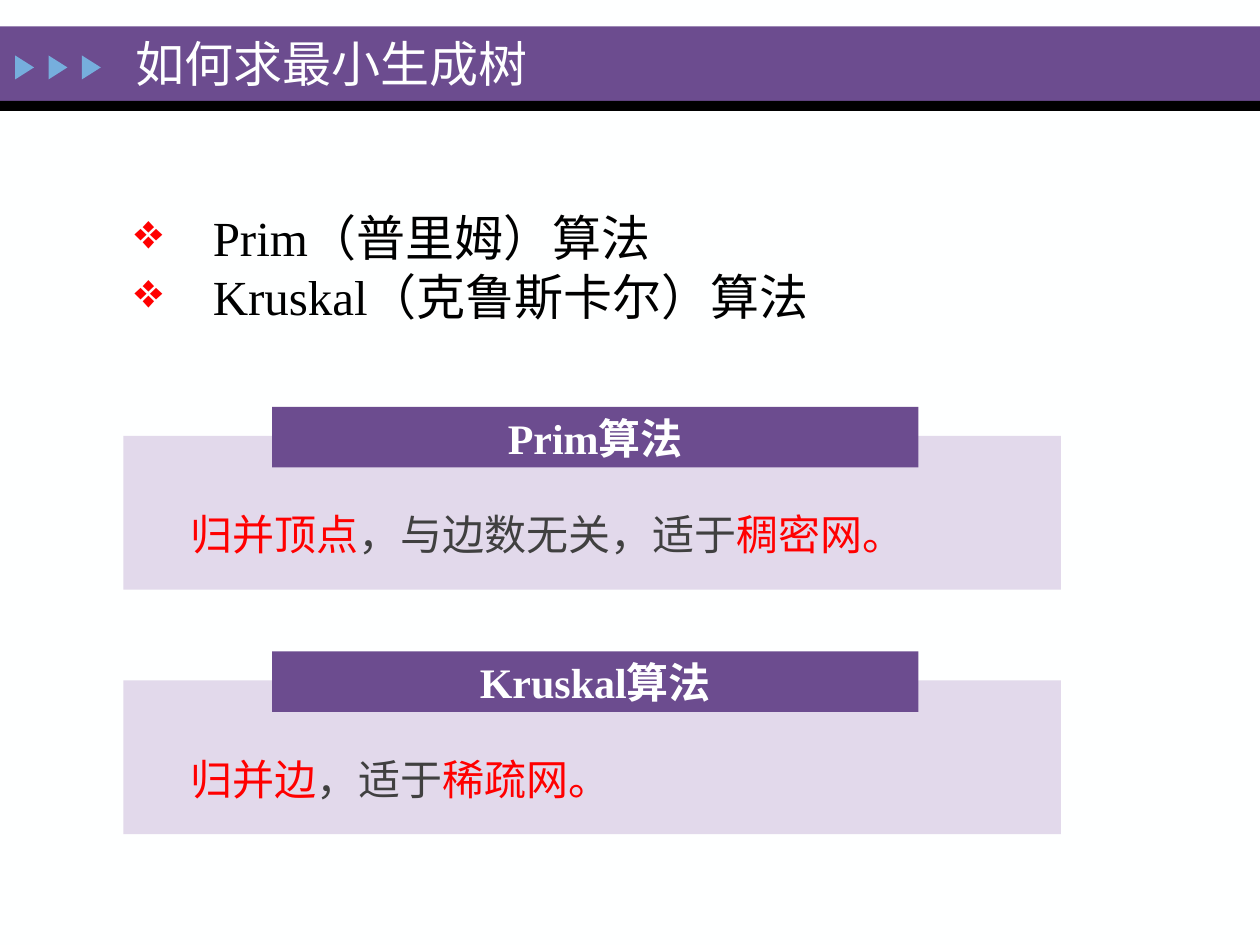
from lxml.etree import SubElement
from pptx import Presentation
from pptx.dml.color import RGBColor
from pptx.enum.shapes import MSO_SHAPE
from pptx.enum.text import MSO_ANCHOR, MSO_AUTO_SIZE, PP_ALIGN
from pptx.oxml.ns import qn
from pptx.util import Inches, Pt

FONT = "Times New Roman"
COLORS = {
    "paper": "FEFFFF",
    "purple": "6C4C8F",
    "lilac": "E2D9EB",
    "blue": "76AEDD",
    "black": "000000",
    "grey": "404040",
    "red": "FF0000",
}
ALGORITHMS = ["Prim（普里姆）算法", "Kruskal（克鲁斯卡尔）算法"]
CARDS = [
    ("Prim算法", [("归并顶点", "red"), ("，与边数无关，适于", "grey"), ("稠密网。", "red")]),
    ("Kruskal算法", [("归并边", "red"), ("，适于", "grey"), ("稀疏网。", "red")]),
]


def color(name):
    """Return the named palette colour."""
    return RGBColor.from_string(COLORS[name])


def add_block(shapes, left, top, width, height, fill, kind=MSO_SHAPE.RECTANGLE):
    """Add a flat filled shape without outline or shadow."""
    block = shapes.add_shape(kind, Inches(left), Inches(top), Inches(width), Inches(height))
    block.shadow.inherit = False
    block.fill.solid()
    block.fill.fore_color.rgb = color(fill)
    block.line.fill.background()
    return block


def add_text_box(shapes, left, top, width, height):
    """Add a wrapping text box and return its text frame."""
    box = shapes.add_textbox(Inches(left), Inches(top), Inches(width), Inches(height))
    box.text_frame.word_wrap = True
    return box.text_frame


def style(para, size, fill, bold=False):
    """Set the font of a whole paragraph."""
    para.font.name = FONT
    para.font.size = Pt(size)
    para.font.bold = bold
    para.font.color.rgb = color(fill)


def add_bullet(para):
    """Give a paragraph a red diamond bullet with a hanging indent."""
    properties = para._p.get_or_add_pPr()
    properties.set("marL", str(Inches(0.62)))
    properties.set("indent", str(Inches(-0.62)))
    bullet_color = SubElement(properties, qn("a:buClr"))
    SubElement(bullet_color, qn("a:srgbClr"), val=COLORS["red"])
    SubElement(properties, qn("a:buChar"), char="❖")


def add_header(page, title):
    """Add the title band with its three arrowheads."""
    add_block(page.shapes, 0, 0.21, 10, 0.59, "purple")
    add_block(page.shapes, 0, 0.8, 10, 0.08, "black")
    arrows = page.shapes.add_group_shape()
    for index in range(3):
        arrow = add_block(arrows.shapes, 0.1 + 0.265 * index, 0.46, 0.19, 0.15,
                          "blue", MSO_SHAPE.ISOSCELES_TRIANGLE)
        arrow.rotation = 90
    frame = add_text_box(page.shapes, 0.98, 0.22, 5.59, 0.56)
    frame.vertical_anchor = MSO_ANCHOR.MIDDLE
    frame.text = title
    style(frame.paragraphs[0], 28, "paper")


def add_list(page, items):
    """Add the bulleted list of algorithms."""
    frame = add_text_box(page.shapes, 0.97, 1.6, 7.45, 1.08)
    frame.auto_size = MSO_AUTO_SIZE.SHAPE_TO_FIT_TEXT
    frame.text = "\n".join(items)
    for para in frame.paragraphs:
        add_bullet(para)
        style(para, 28, "black")


def add_card(page, top, heading, parts):
    """Add a panel with a heading bar and a line of coloured text."""
    card = page.shapes.add_group_shape()
    add_block(card.shapes, 0.98, top + 0.23, 7.44, 1.22, "lilac")
    bar = add_block(card.shapes, 2.16, top, 5.13, 0.48, "purple")
    bar.text_frame.vertical_anchor = MSO_ANCHOR.MIDDLE
    bar.text_frame.text = heading
    title = bar.text_frame.paragraphs[0]
    title.alignment = PP_ALIGN.CENTER
    style(title, 24, "paper", bold=True)

    frame = add_text_box(card.shapes, 1.41, top + 0.64, 6.61, 0.57)
    frame.auto_size = MSO_AUTO_SIZE.SHAPE_TO_FIT_TEXT
    para = frame.paragraphs[0]
    para.line_spacing = 1.3
    style(para, 24, "grey")
    for text, fill in parts:
        span = para.add_run()
        span.text = text
        span.font.color.rgb = color(fill)


def main():
    """Build the slide and save it."""
    deck = Presentation()
    deck.slide_width, deck.slide_height = Inches(10), Inches(7.5)
    page = deck.slides.add_slide(deck.slide_layouts[6])
    page.background.fill.solid()
    page.background.fill.fore_color.rgb = color("paper")
    add_header(page, "如何求最小生成树")
    add_list(page, ALGORITHMS)
    for index, (heading, parts) in enumerate(CARDS):
        add_card(page, 3.23 + 1.94 * index, heading, parts)
    deck.save("out.pptx")


if __name__ == "__main__":
    main()
